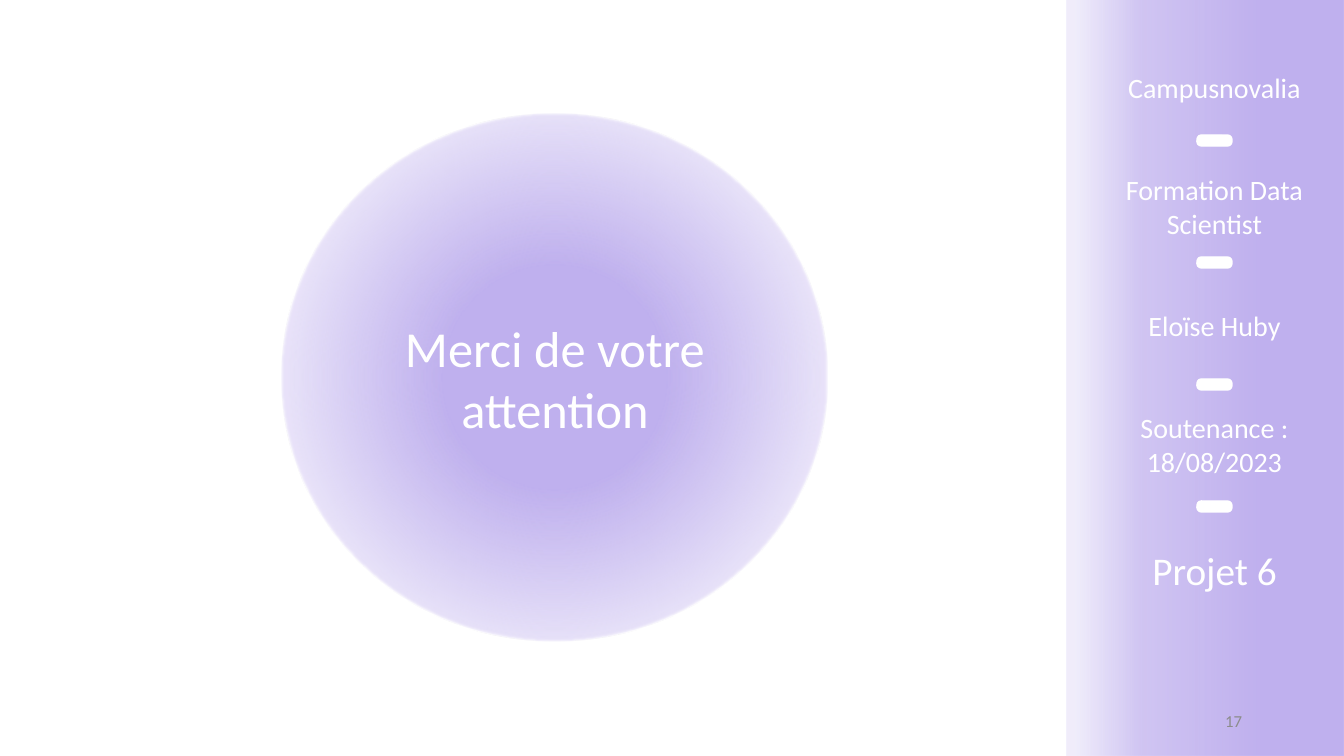
import pptx
import pptx.util
import pptx.dml.color
import pptx.enum.shapes
import pptx.enum.text
import pptx.oxml
import pptx.oxml.ns
from lxml import etree

RGBColor = pptx.dml.color.RGBColor
MSO_SHAPE = pptx.enum.shapes.MSO_SHAPE
PP_ALIGN = pptx.enum.text.PP_ALIGN
MSO_ANCHOR = pptx.enum.text.MSO_ANCHOR
qn = pptx.oxml.ns.qn

LILAC = RGBColor(0xBF, 0xB0, 0xEE)
WHITE = RGBColor(0xFF, 0xFF, 0xFF)
GREY = RGBColor(0x8C, 0x8C, 0x8C)
FONT = "Calibri"
SECTION_GAP = 48.8  # points, two lines of 20 pt text


def px(n):
    return pptx.util.Emu(round(n * 914400 / 100.8))


def format_paragraph(p, size, color=WHITE, align=PP_ALIGN.CENTER, gap=0):
    p.alignment = align
    p.space_before = pptx.util.Pt(gap)
    for r in p.runs:
        r.font.name = FONT
        r.font.size = pptx.util.Pt(size)
        r.font.color.rgb = color


def add_shape(slide, kind, x, y, w, h):
    sp = slide.shapes.add_shape(kind, px(x), px(y), px(w), px(h))
    sp.shadow.inherit = False
    sp.line.fill.background()
    return sp


def fade(sp, stops, direction):
    """Fill with lilac; stops are (position %, opacity %), direction is XML."""
    sp.fill.gradient()
    grad = sp._element.spPr.find(qn("a:gradFill"))
    for child in list(grad):
        grad.remove(child)
    gs_list = etree.SubElement(grad, qn("a:gsLst"))
    for position, opacity in stops:
        gs = etree.SubElement(gs_list, qn("a:gs"), pos=str(position * 1000))
        clr = etree.SubElement(gs, qn("a:srgbClr"), val=str(LILAC))
        etree.SubElement(clr, qn("a:alpha"), val=str(opacity * 1000))
    ns = pptx.oxml.ns.nsdecls("a")
    grad.append(pptx.oxml.parse_xml(direction.replace(" ", f" {ns} ", 1)))


def soften_edge(sp, points):
    effects = sp._element.spPr.find(qn("a:effectLst"))
    etree.SubElement(effects, qn("a:softEdge"), rad=str(pptx.util.Pt(points)))


def add_disc(slide, text):
    sp = add_shape(slide, MSO_SHAPE.OVAL, 282, 114, 546, 528)
    fade(sp, [(0, 100), (29, 100), (70, 37)],
         '<a:path path="circle"><a:fillToRect l="50000" t="50000" '
         'r="50000" b="50000"/></a:path>')
    soften_edge(sp, 1)
    tf = sp.text_frame
    tf.text = text
    tf.vertical_anchor = MSO_ANCHOR.MIDDLE
    format_paragraph(tf.paragraphs[0], 36)


def add_side_band(slide):
    sp = add_shape(slide, MSO_SHAPE.RECTANGLE, 1067, 0, 277, 756)
    fade(sp, [(0, 100), (29, 100), (74, 72), (97, 22)],
         '<a:lin ang="10800000" scaled="0"/>')


def add_dash(slide, y):
    sp = add_shape(slide, MSO_SHAPE.ROUNDED_RECTANGLE, 1197, y, 35, 11)
    sp.adjustments[0] = 0.4
    sp.fill.solid()
    sp.fill.fore_color.rgb = WHITE
    sp.line.color.rgb = WHITE
    sp.line.width = pptx.util.Pt(1)


def add_text(slide, x, y, w, h, lines, **style):
    """lines holds (text, size, space before) for each paragraph."""
    tf = slide.shapes.add_textbox(px(x), px(y), px(w), px(h)).text_frame
    tf.word_wrap = True
    tf.text = "\n".join(text for text, _, _ in lines)
    for p, (_, size, gap) in zip(tf.paragraphs, lines):
        format_paragraph(p, size, gap=gap, **style)
    return tf


def main():
    prs = pptx.Presentation()
    prs.slide_width, prs.slide_height = px(1344), px(756)
    slide = prs.slides.add_slide(prs.slide_layouts[6])

    add_disc(slide, "Merci de votre attention")
    add_side_band(slide)
    number = add_text(slide, 950, 701, 302, 40, [("17", 12, 0)],
                      color=GREY, align=PP_ALIGN.RIGHT)
    number.vertical_anchor = MSO_ANCHOR.MIDDLE
    add_text(slide, 1105, 66, 219, 179, [
        ("Campusnovalia", 20, 0),
        ("Formation Data Scientist", 20, SECTION_GAP),
    ])
    add_text(slide, 1113, 304, 203, 295, [
        ("Eloïse Huby", 20, 0),
        ("Soutenance :", 20, SECTION_GAP),
        ("18/08/2023", 20, 0),
        ("Projet 6", 28, SECTION_GAP),
    ])
    for i in range(4):
        add_dash(slide, 135 + 122 * i)

    prs.save("out.pptx")


if __name__ == "__main__":
    main()
